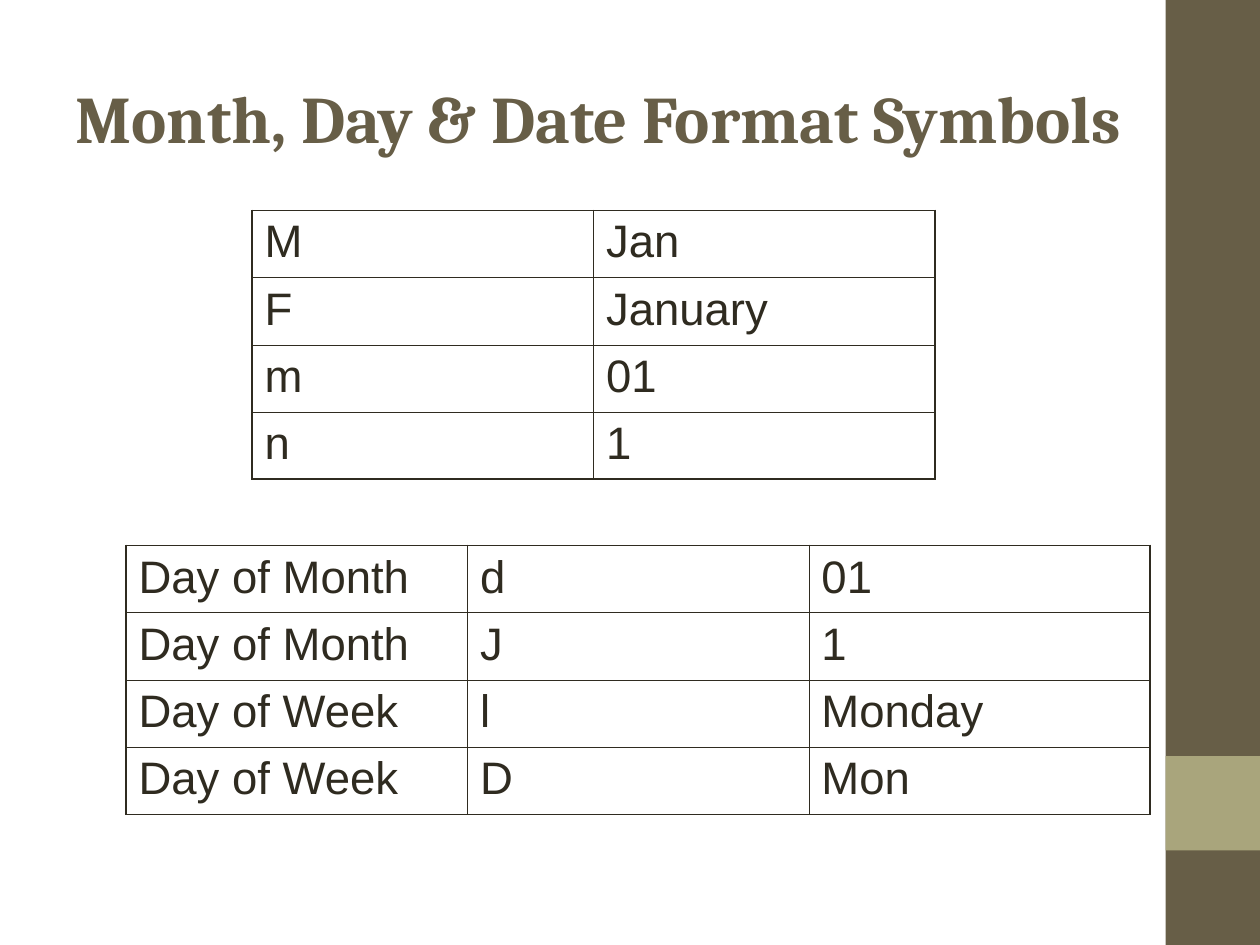
from dataclasses import dataclass

import pptx
import pptx.dml.color
import pptx.enum.shapes
import pptx.enum.text
import pptx.oxml.ns
import pptx.util
from lxml import etree
from pptx.util import Inches

BROWN = pptx.dml.color.RGBColor(0x67, 0x5E, 0x47)
SAGE = pptx.dml.color.RGBColor(0xA9, 0xA5, 0x7C)
INK = pptx.dml.color.RGBColor(0x2F, 0x2B, 0x20)

COL_WIDTH, ROW_HEIGHT = 2.71, 0.53
OUTER, INNER = 1.08, 0.45


@dataclass
class Band:
    top: float
    height: float
    color: pptx.dml.color.RGBColor


@dataclass
class SymbolTable:
    left: float
    top: float
    rows: list[list[str]]


BANDS = [Band(0, 7.5, BROWN), Band(6, 0.75, SAGE)]
TABLES = [
    SymbolTable(2, 1.67, [["M", "Jan"], ["F", "January"], ["m", "01"], ["n", "1"]]),
    SymbolTable(1, 4.33, [
        ["Day of Month", "d", "01"],
        ["Day of Month", "J", "1"],
        ["Day of Week", "l", "Monday"],
        ["Day of Week", "D", "Mon"],
    ]),
]


def add_band(s, band: Band) -> None:
    sp = s.shapes.add_shape(pptx.enum.shapes.MSO_SHAPE.RECTANGLE, Inches(9.25),
                            Inches(band.top), Inches(0.75), Inches(band.height))
    sp.shadow.inherit = False
    sp.fill.solid()
    sp.fill.fore_color.rgb = band.color
    sp.line.fill.background()


def format_run(r, font: str, size: float, color, bold: bool = False) -> None:
    r.font.name = font
    r.font.size = pptx.util.Pt(size)
    r.font.color.rgb = color
    r.font.bold = bold


def add_title(s, text: str) -> None:
    sp = s.shapes.add_textbox(Inches(0.5), Inches(0.3), Inches(9), Inches(1.25))
    tf = sp.text_frame
    tf.word_wrap = True
    tf.vertical_anchor = pptx.enum.text.MSO_ANCHOR.MIDDLE
    tf.text = text
    format_run(tf.paragraphs[0].runs[0], "Cambria", 38, BROWN, True)


def set_border(cell, side: str, width: float) -> None:
    qn = pptx.oxml.ns.qn
    ln = etree.SubElement(cell._tc.get_or_add_tcPr(), qn(f"a:ln{side}"),
                          w=str(int(pptx.util.Pt(width))))
    fill = etree.SubElement(ln, qn("a:solidFill"))
    etree.SubElement(fill, qn("a:srgbClr"), val=str(INK))


def add_symbol_table(s, spec: SymbolTable) -> None:
    n_rows, n_cols = len(spec.rows), len(spec.rows[0])
    table = s.shapes.add_table(
        n_rows, n_cols, Inches(spec.left), Inches(spec.top),
        Inches(COL_WIDTH * n_cols), Inches(ROW_HEIGHT * n_rows)).table
    table.first_row = table.horz_banding = False
    for column in table.columns:
        column.width = Inches(COL_WIDTH)
    for i, values in enumerate(spec.rows):
        table.rows[i].height = Inches(ROW_HEIGHT)
        for j, value in enumerate(values):
            cell = table.cell(i, j)
            cell.text_frame.text = value
            format_run(cell.text_frame.paragraphs[0].runs[0], "Arial", 26, INK)
            # Heavier rule around the table than between cells
            on_edge = {"L": j == 0, "R": j == n_cols - 1,
                       "T": i == 0, "B": i == n_rows - 1}
            for side, outer in on_edge.items():
                set_border(cell, side, OUTER if outer else INNER)
            cell.fill.background()


def main() -> None:
    prs = pptx.Presentation()
    prs.slide_width, prs.slide_height = Inches(10), Inches(7.5)
    s = prs.slides.add_slide(prs.slide_layouts[6])

    # Side bands
    for band in BANDS:
        add_band(s, band)

    # Title and symbol tables
    add_title(s, "Month, Day & Date Format Symbols")
    for table in TABLES:
        add_symbol_table(s, table)

    prs.save("out.pptx")


if __name__ == "__main__":
    main()
